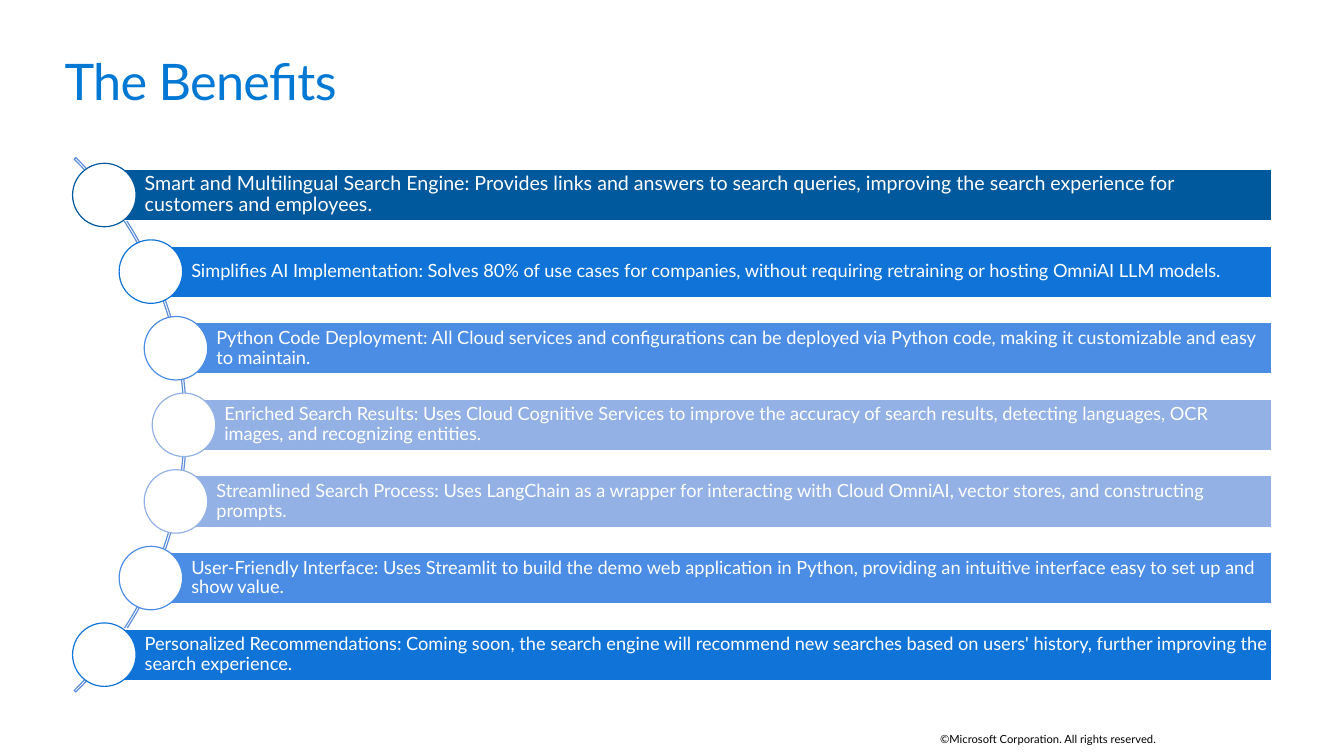
from math import sqrt
from pptx import Presentation
from pptx import util as u
from pptx.dml.color import RGBColor
from pptx.enum import shapes, text

HUE = {"title": "0078D4", "arc": "5E8ED9", "white": "FFFFFF", "black": "000000",
       "navy": "00599D", "blue": "0F73D7", "sky": "4B8DE4", "pale": "93B1E5"}
ROWS = [
    ("navy", "Smart and Multilingual Search Engine: Provides links and answers to search queries, improving the search experience for customers and employees."),
    ("blue", "Simplifies AI Implementation: Solves 80% of use cases for companies, without requiring retraining or hosting OmniAI LLM models."),
    ("sky", "Python Code Deployment: All Cloud services and configurations can be deployed via Python code, making it customizable and easy to maintain."),
    ("pale", "Enriched Search Results: Uses Cloud Cognitive Services to improve the accuracy of search results, detecting languages, OCR images, and recognizing entities."),
    ("pale", "Streamlined Search Process: Uses LangChain as a wrapper for interacting with Cloud OmniAI, vector stores, and constructing prompts."),
    ("sky", "User-Friendly Interface: Uses Streamlit to build the demo web application in Python, providing an intuitive interface easy to set up and show value."),
    ("blue", "Personalized Recommendations: Coming soon, the search engine will recommend new searches based on users' history, further improving the search experience."),
]

deck = Presentation()
deck.slide_width, deck.slide_height = u.Inches(13.33), u.Inches(7.5)
slide = deck.slides.add_slide(deck.slide_layouts[5])


def write(shape, words, size, hue, align="LEFT", anchor="TOP", pads=(0, 0, 0, 0), lead=1.0):
    frame = shape.text_frame
    frame.word_wrap = True
    frame.auto_size = text.MSO_AUTO_SIZE.NONE
    frame.vertical_anchor = text.MSO_ANCHOR[anchor]
    (frame.margin_left, frame.margin_top,
     frame.margin_right, frame.margin_bottom) = [u.Inches(p) for p in pads]
    para = frame.paragraphs[0]
    para.alignment = text.PP_ALIGN[align]
    para.line_spacing = lead
    run = para.add_run()
    run.text = words
    run.font.name, run.font.size = "Lato", u.Pt(size)
    run.font.color.rgb = RGBColor.from_string(HUE[hue])
    return run


def draw(kind, box, fill, line):
    shape = slide.shapes.add_shape(shapes.MSO_SHAPE[kind], *[u.Inches(v) for v in box])
    shape.shadow.inherit = False
    if fill:
        shape.fill.solid()
        shape.fill.fore_color.rgb = RGBColor.from_string(HUE[fill])
    else:
        shape.fill.background()
    shape.line.color.rgb = RGBColor.from_string(HUE[line])
    shape.line.width = u.Pt(0.85)
    return shape


title = slide.shapes.title
title.left, title.top, title.width, title.height = [u.Inches(v) for v in (0.64, 0.5, 12.05, 0.61)]
run = write(title, "The Benefits", 36, "title")
run.font._element.set("spc", "-50")

note = slide.shapes.add_textbox(*[u.Inches(v) for v in (9.27, 7.28, 2.2, 0.12)])
write(note, "©Microsoft Corporation. All rights reserved.", 8, "black", align="RIGHT", lead=0.9)

MID, STEP, BAR, DOT, RIGHT = 4.215, 0.76, 0.51, 0.63, 12.61
HUB, REACH, SPAN = -1.86, 3.685, 7.5

arc = draw("BLOCK_ARC", (-5.65, MID - SPAN / 2, SPAN, SPAN), None, "arc")
for i, turn in enumerate((189, 27, 0.003)):
    arc.adjustments[i] = turn

for i, (hue, words) in enumerate(ROWS):
    drop = (i - len(ROWS) // 2) * STEP
    x, y = HUB + sqrt(REACH ** 2 - drop ** 2), MID + drop
    bar = draw("RECTANGLE", (x, y - BAR / 2, RIGHT - x, BAR), hue, "white")
    write(bar, words, 13 if i else 14, "white", anchor="MIDDLE",
          pads=(0.4, 0.04, 0.04, 0.04), lead=0.9)
    draw("OVAL", (x - DOT / 2, y - DOT / 2, DOT, DOT), "white", hue)

deck.save("out.pptx")
